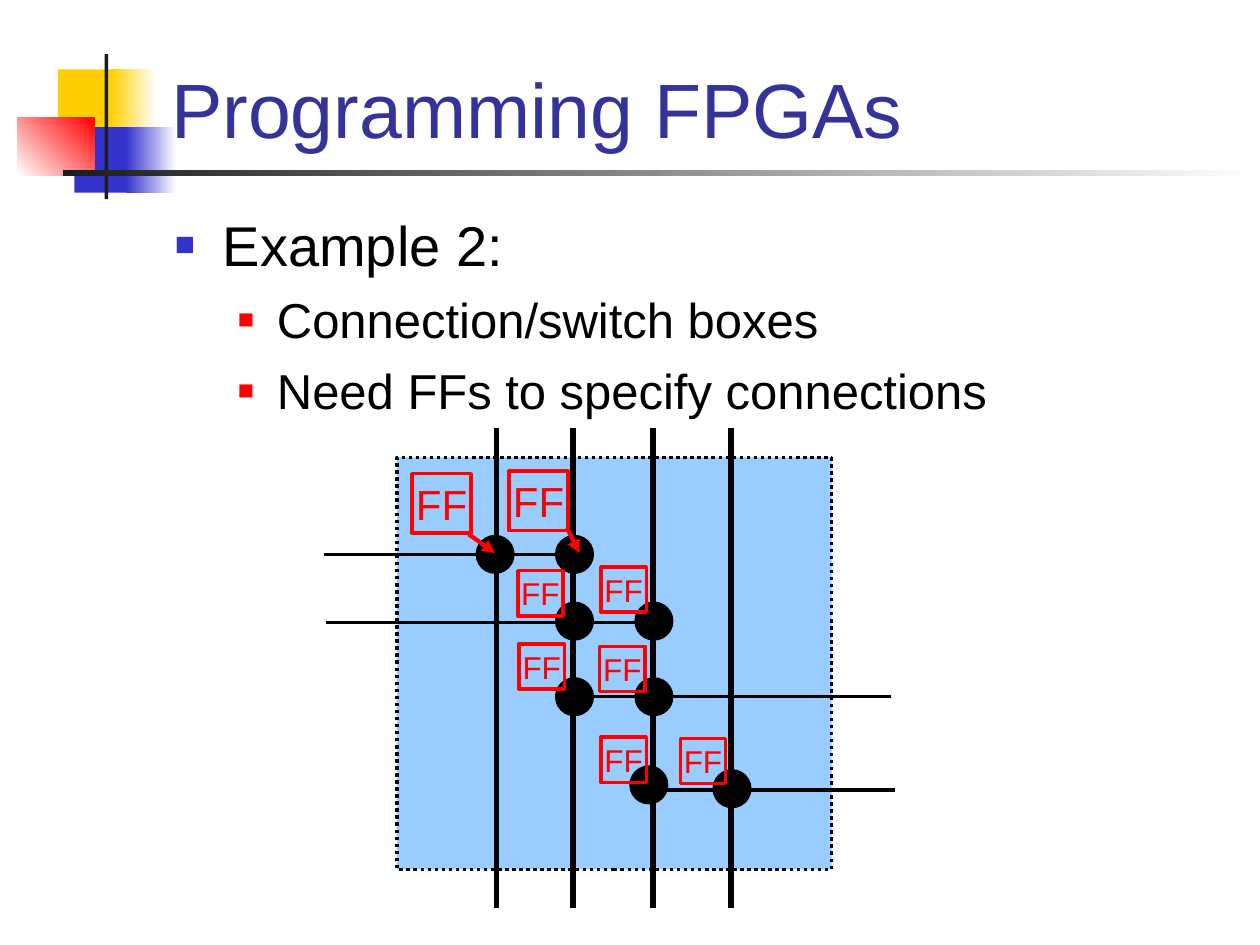
import pptx
import pptx.util
import pptx.dml.color
import pptx.enum.dml
import pptx.enum.shapes
import pptx.enum.text
from dataclasses import dataclass
from lxml import etree
from pptx.oxml.ns import qn

Inches = pptx.util.Inches
Pt = pptx.util.Pt
SHAPE = pptx.enum.shapes.MSO_SHAPE
ANCHOR = pptx.enum.text.MSO_ANCHOR


@dataclass(frozen=True)
class Theme:
    font: str = "Arial"
    title: str = "333399"
    text: str = "000000"
    white: str = "FFFFFF"
    yellow: str = "FFCF01"
    blue: str = "3333CC"
    red: str = "FF0000"
    rule: str = "1C1C1C"
    box: str = "99CCFF"
    title_size: int = 44
    body_sizes: tuple = (32, 28)
    big_label: int = 24
    small_label: int = 18


def rgb(color):
    return pptx.dml.color.RGBColor.from_string(color)


class Builder:
    def __init__(self, slide, theme):
        self.s = slide
        self.theme = theme
        self.shapes = slide.shapes

    def shape(self, x, y, w, h, fill=None, line=None, width=1, kind=SHAPE.RECTANGLE):
        sp = self.shapes.add_shape(kind, Inches(x), Inches(y), Inches(w), Inches(h))
        sp.shadow.inherit = False
        if fill:
            sp.fill.solid()
            sp.fill.fore_color.rgb = rgb(fill)
        else:
            sp.fill.background()
        if line:
            sp.line.color.rgb = rgb(line)
            sp.line.width = Pt(width)
        else:
            sp.line.fill.background()
        return sp

    def fade(self, x, y, w, h, start, end, angle=0):
        sp = self.shape(x, y, w, h)
        sp.fill.gradient()
        sp.fill.gradient_angle = angle
        for stop, color in zip(sp.fill.gradient_stops, (start, end)):
            stop.color.rgb = rgb(color)

    def line(self, x1, y1, x2, y2, color, width, arrow=False):
        c = self.shapes.add_connector(
            pptx.enum.shapes.MSO_CONNECTOR.STRAIGHT,
            Inches(x1), Inches(y1), Inches(x2), Inches(y2))
        c.line.color.rgb = rgb(color)
        c.line.width = Pt(width)
        if arrow:
            ln = c.line._get_or_add_ln()
            etree.SubElement(ln, qn("a:tailEnd"), type="triangle")
        etree.SubElement(c._element.spPr, qn("a:effectLst"))

    def run(self, p, text, size, color):
        r = p.add_run()
        r.text = text
        r.font.name = self.theme.font
        r.font.size = Pt(size)
        r.font.color.rgb = rgb(color)

    def textbox(self, x, y, w, h, anchor=ANCHOR.TOP):
        tf = self.shapes.add_textbox(Inches(x), Inches(y), Inches(w), Inches(h)).text_frame
        tf.word_wrap = True
        tf.vertical_anchor = anchor
        return tf

    def bullet(self, p, text, level):
        color = (self.theme.blue, self.theme.red)[level]
        indent, hang, percent = ((0.38, 0.38, 60), (0.81, 0.31, 55))[level]
        p.level = level
        pPr = p._p.get_or_add_pPr()
        pPr.set("marL", str(Inches(indent)))
        pPr.set("indent", str(-Inches(hang)))
        bu = etree.SubElement(pPr, qn("a:buClr"))
        etree.SubElement(bu, qn("a:srgbClr"), val=color)
        etree.SubElement(pPr, qn("a:buSzPct"), val=str(percent * 1000))
        etree.SubElement(pPr, qn("a:buFont"), typeface=self.theme.font)
        etree.SubElement(pPr, qn("a:buChar"), char="■")
        self.run(p, text, self.theme.body_sizes[level], self.theme.text)

    def flip_flop(self, x, y, side, size):
        sp = self.shape(x, y, side, side, line=self.theme.red, width=2)
        tf = sp.text_frame
        tf.word_wrap = False
        tf.vertical_anchor = ANCHOR.MIDDLE
        p = tf.paragraphs[0]
        p.alignment = pptx.enum.text.PP_ALIGN.CENTER
        self.run(p, "FF", size, self.theme.red)


def main():
    prs = pptx.Presentation()
    prs.slide_width, prs.slide_height = Inches(10), Inches(7.5)
    t = Theme()
    b = Builder(prs.slides.add_slide(prs.slide_layouts[6]), t)

    # Corner decoration and title rule
    b.shape(0.46, 0.55, 0.48, 0.52, t.yellow)
    b.fade(0.88, 0.55, 0.36, 0.52, t.yellow, t.white)
    b.shape(0.59, 1.01, 0.46, 0.52, t.blue)
    b.fade(1, 1.01, 0.4, 0.52, t.blue, t.white)
    b.fade(0.14, 0.93, 0.61, 0.46, t.white, t.red, angle=45)
    b.shape(0.83, 0.43, 0.03, 1.15, t.rule)
    b.fade(0.5, 1.35, 9.5, 0.05, t.rule, t.white)

    # Title
    tf = b.textbox(1.26, 0.02, 8.52, 1.25, ANCHOR.BOTTOM)
    b.run(tf.paragraphs[0], "Programming FPGAs", t.title_size, t.title)

    # Bullets
    tf = b.textbox(1.29, 1.62, 8.5, 5.08)
    b.bullet(tf.paragraphs[0], "Example 2:", 0)
    for text in ("Connection/switch boxes", "Need FFs to specify connections"):
        p = tf.add_paragraph()
        p.space_before = Pt(7)
        b.bullet(p, text, 1)

    # Switch box with its wires and connection points
    b.shapes = b.s.shapes.add_group_shape().shapes
    box = b.shape(3.15, 3.63, 3.45, 3.27, t.box, t.text, 2)
    box.line.dash_style = pptx.enum.dml.MSO_LINE.ROUND_DOT
    for x in (3.94, 4.55, 5.18, 5.8):
        b.line(x, 3.4, x, 7.21, t.text, 3.25)
    for x1, x2, y in ((2.57, 4.5, 4.4), (2.59, 5.2, 4.94),
                      (4.49, 7.07, 5.53), (5.1, 7.1, 6.27)):
        b.line(x1, y, x2, y, t.text, 1.75)
    for x, y in ((3.78, 4.25), (4.41, 4.25), (4.41, 4.78), (5.04, 4.78),
                 (4.41, 5.38), (5.04, 5.38), (5, 6.08), (5.66, 6.11)):
        b.shape(x, y, 0.3, 0.3, t.text, t.text, 0.75, SHAPE.OVAL)
    b.shapes = b.s.shapes

    # Flip-flops, the first two with arrows to their points
    for x, y in ((3.27, 3.76), (4.04, 3.74)):
        b.flip_flop(x, y, 0.47, t.big_label)
    for ends in ((3.72, 4.24, 3.93, 4.39), (4.5, 4.19, 4.6, 4.39)):
        b.line(*ends, t.red, 2.5, arrow=True)
    for x, y in ((4.11, 4.53), (4.77, 4.5), (4.12, 5.11),
                 (4.76, 5.13), (4.77, 5.85), (5.4, 5.86)):
        b.flip_flop(x, y, 0.36, t.small_label)

    prs.save("out.pptx")


if __name__ == "__main__":
    main()
